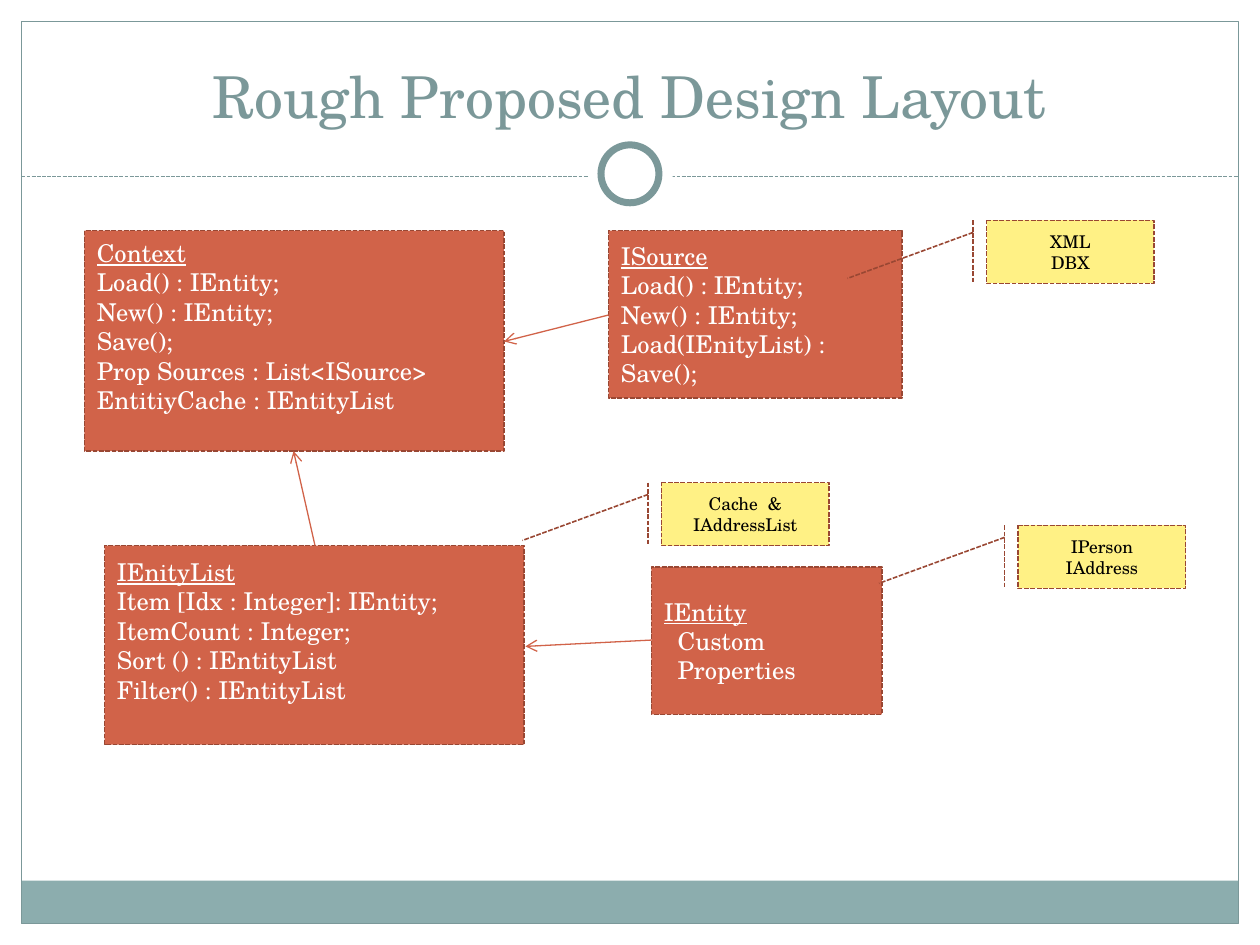
from pptx import Presentation
from pptx.dml.color import RGBColor
from pptx.enum.dml import MSO_LINE
from pptx.enum.shapes import MSO_CONNECTOR, MSO_SHAPE
from pptx.enum.text import MSO_ANCHOR, MSO_AUTO_SIZE, PP_ALIGN
from pptx.oxml.ns import qn
from pptx.oxml.xmlchemy import OxmlElement
from pptx.util import Inches, Pt

TEAL = RGBColor(0x7B, 0x98, 0x99)
BAND = RGBColor(0x8C, 0xAD, 0xAE)
RUST = RGBColor(0xD1, 0x63, 0x49)
BROWN = RGBColor(0x99, 0x47, 0x33)
CREAM = RGBColor(0xFF, 0xF1, 0x85)
WHITE = RGBColor(0xFF, 0xFF, 0xFF)
BLACK = RGBColor(0, 0, 0)


def write(frame, text, size=14, color=WHITE, align=PP_ALIGN.LEFT,
          anchor=MSO_ANCHOR.MIDDLE, head=False, indent=0, foot=0.05):
    """Fill a text frame with one paragraph per line of text."""
    frame.word_wrap = True
    frame.auto_size = MSO_AUTO_SIZE.NONE
    frame.vertical_anchor = anchor
    frame.margin_bottom = Inches(foot)
    for i, line in enumerate(text.split("\n")):
        para = frame.paragraphs[0] if i == 0 else frame.add_paragraph()
        para.alignment = align
        if indent and i:
            para._p.get_or_add_pPr().set("marL", str(Inches(indent)))
        run = para.add_run()
        run.text = line
        font = run.font
        font.name, font.size = "TeX Gyre Schola", Pt(size)
        font.color.rgb = color
        if head and i == 0:
            font.underline = True


class Deck:
    """Hold the style and the current slide."""

    def __init__(self):
        """Open a title-only slide."""
        self.prs = Presentation()
        self.prs.slide_width, self.prs.slide_height = Inches(10), Inches(7.5)
        self.slide = self.prs.slides.add_slide(self.prs.slide_layouts[5])
        self.shapes = self.slide.shapes

    def title(self, text, box):
        """Place and format the title."""
        hold = self.shapes.title
        hold.left, hold.top, hold.width, hold.height = map(Inches, box)
        write(hold.text_frame, text, size=33, color=TEAL,
              align=PP_ALIGN.CENTER, anchor=MSO_ANCHOR.BOTTOM)

    def stroke(self, line, color, width, dash=False):
        """Set the look of a line."""
        line.color.rgb = color
        line.width = Pt(width)
        if dash:
            line.dash_style = MSO_LINE.SQUARE_DOT

    def shape(self, kind, box, fill=None, edge=None, width=0.75, dash=False):
        """Add a preset shape."""
        item = self.shapes.add_shape(kind, *map(Inches, box))
        item.shadow.inherit = False
        if fill is None:
            item.fill.background()
        else:
            item.fill.solid()
            item.fill.fore_color.rgb = fill
        if edge is None:
            item.line.fill.background()
        else:
            self.stroke(item.line, edge, width, dash)
        return item

    def line(self, start, end, color, dash=False, arrow=False):
        """Add a straight line, with an arrowhead at its end if asked."""
        item = self.shapes.add_connector(
            MSO_CONNECTOR.STRAIGHT, *map(Inches, (*start, *end)))
        self.stroke(item.line, color, 0.75, dash)
        props = item._element.spPr
        if arrow:
            tip = OxmlElement("a:tailEnd")
            tip.set("type", "arrow")
            props.find(qn("a:ln")).append(tip)
        props.append(OxmlElement("a:effectLst"))

    def model(self, box, text, **form):
        """Add a class box with an underlined name."""
        item = self.shape(MSO_SHAPE.RECTANGLE, box, RUST, BROWN, 0.91, True)
        write(item.text_frame, text, head=True, **form)

    def note(self, left, top, text):
        """Add a callout note with an accent bar."""
        item = self.shape(MSO_SHAPE.LINE_CALLOUT_1_BORDER_AND_ACCENT_BAR,
                          (left, top, 1.33, 0.5), CREAM, BROWN, 0.91, True)
        for i, value in enumerate((0.19, -0.08, 0.92, -0.83)):
            item.adjustments[i] = value
        write(item.text_frame, text, size=10, color=BLACK,
              align=PP_ALIGN.CENTER)

    def frame(self):
        """Draw the border, band, rule and ring."""
        self.shape(MSO_SHAPE.RECTANGLE, (0.17, 6.99, 9.66, 0.34), BAND)
        self.shape(MSO_SHAPE.RECTANGLE, (0.17, 0.17, 9.66, 7.16), edge=TEAL)
        self.line((0.17, 1.4), (9.83, 1.4), TEAL, dash=True)
        self.shape(MSO_SHAPE.OVAL, (4.67, 1.05, 0.67, 0.67), WHITE)
        self.shape(MSO_SHAPE.OVAL, (4.77, 1.15, 0.46, 0.46), WHITE, TEAL, 4)


def main():
    """Build the design slide."""
    deck = Deck()
    deck.frame()
    deck.title("Rough Proposed Design Layout", (0.33, 0.25, 9.33, 0.83))
    deck.model((0.67, 1.83, 3.33, 1.75),
               "Context\nLoad() : IEntity;\nNew() : IEntity;\nSave();\n"
               "Prop Sources : List<ISource>\nEntitiyCache : IEntityList",
               foot=0.28)
    deck.model((4.83, 1.83, 2.33, 1.33),
               "ISource\nLoad() : IEntity;\nNew() : IEntity;\n"
               "Load(IEnityList) :\nSave();")
    deck.model((5.17, 4.5, 1.83, 1.17), "IEntity\nCustom\nProperties",
               indent=0.11)
    deck.model((0.83, 4.33, 3.33, 1.58),
               "IEnityList\nItem [Idx : Integer]: IEntity;\n"
               "ItemCount : Integer;\nSort () : IEntityList\n"
               "Filter() : IEntityList", foot=0.28)
    for start, end in (((4.83, 2.5), (4, 2.71)),
                       ((2.5, 4.33), (2.33, 3.58)),
                       ((5.17, 5.08), (4.17, 5.13))):
        deck.line(start, end, RUST, arrow=True)
    deck.note(7.83, 1.75, "XML\nDBX")
    deck.note(8.08, 4.17, "IPerson\nIAddress")
    deck.note(5.25, 3.83, "Cache  &\nIAddressList")
    deck.prs.save("out.pptx")


if __name__ == "__main__":
    main()
